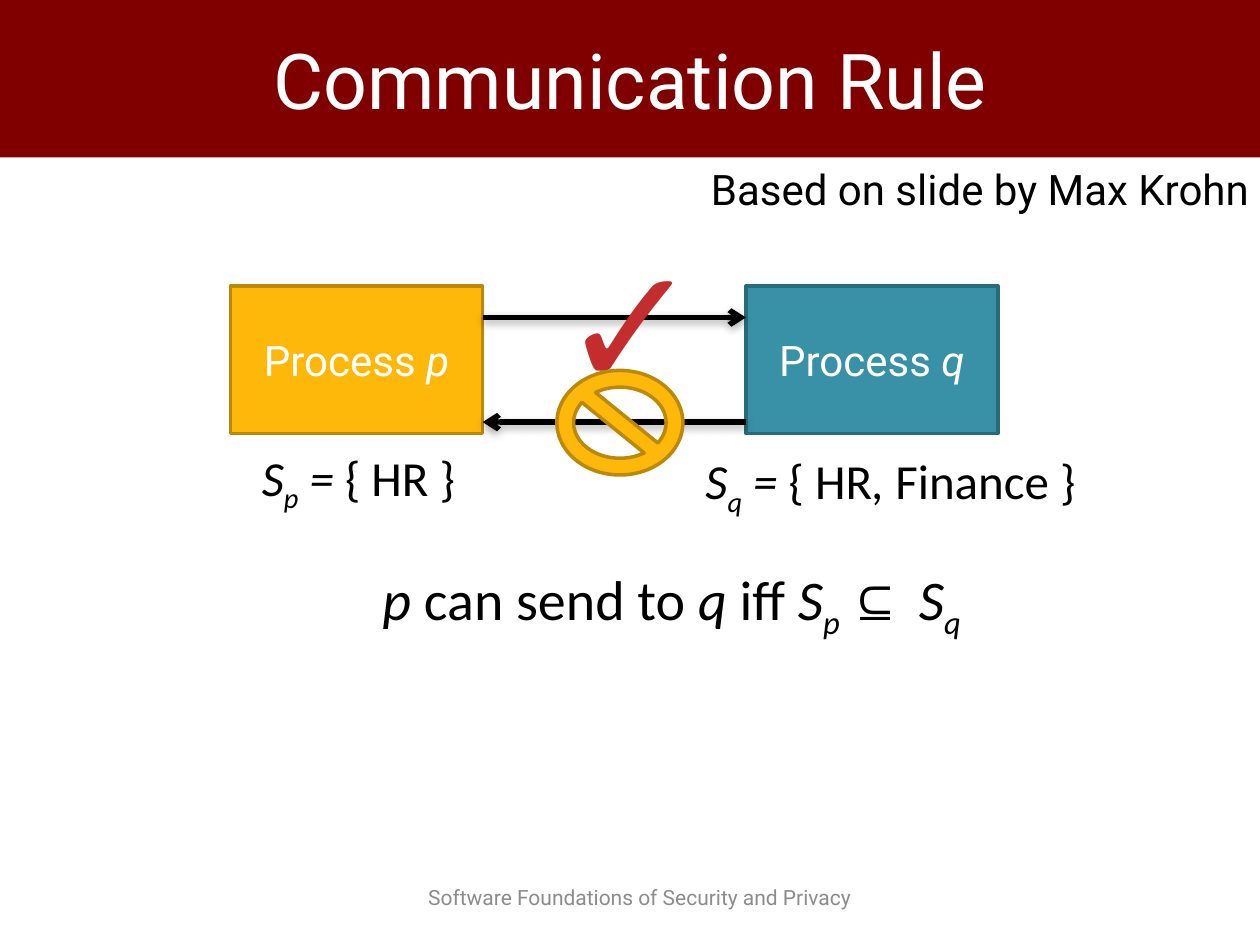
from lxml import etree
from pptx import Presentation
from pptx import util as u
from pptx.dml.color import RGBColor
from pptx.enum import shapes, text
from pptx.oxml import parse_xml
from pptx.oxml.ns import nsdecls, qn

WHITE = RGBColor(0xFF, 0xFF, 0xFF)
BLACK = RGBColor(0, 0, 0)
GRAY = RGBColor(0x8C, 0x8C, 0x8C)
MAROON = RGBColor(0x80, 0, 0)
RED = RGBColor(0xC3, 0x2D, 0x2E)
GOLD = RGBColor(0xFE, 0xB8, 0x0A)
OCHRE = RGBColor(0xBC, 0x88, 0x07)
TEAL = RGBColor(0x38, 0x91, 0xA7)
NAVY = RGBColor(0x29, 0x6B, 0x7C)

ITAL = {"italic": True}
SUB = {"italic": True, "base": "-25000"}
SHADOW = (
    f'<a:effectLst {nsdecls("a")}><a:outerShdw blurRad="63500" dist="23000" '
    'dir="5400000" rotWithShape="0"><a:srgbClr val="000000">'
    '<a:alpha val="35000"/></a:srgbClr></a:outerShdw></a:effectLst>'
)


def write(shape, runs, size, color, name="Roboto", align="LEFT", **frame):
    """Fill a shape with one paragraph of (text, format) runs."""
    body = shape.text_frame
    for key, val in {"word_wrap": True, **frame}.items():
        setattr(body, key, val)
    para = body.paragraphs[0]
    para.alignment = getattr(text.PP_ALIGN, align)
    for words, extra in runs:
        run = para.add_run()
        run.text = words
        look = {"size": u.Pt(size), "name": name, "italic": False, **extra}
        base = look.pop("base", None)
        for key, val in look.items():
            setattr(run.font, key, val)
        run.font.color.rgb = color
        if base:
            run.font._element.set("baseline", base)


def label(slide, box, runs, size, color=BLACK, **style):
    """Place a text box."""
    write(slide.shapes.add_textbox(*map(u.Inches, box)), runs, size, color, **style)


def block(slide, kind, box, fill, edge):
    """Place a filled, outlined shape and return it."""
    shape = slide.shapes.add_shape(kind, *map(u.Inches, box))
    shape.shadow.inherit = False
    shape.fill.solid()
    shape.fill.fore_color.rgb = fill
    shape.line.color.rgb = edge
    shape.line.width = u.Pt(2)
    return shape


def arrow(slide, start, end, y):
    """Draw a level arrow with a soft shadow."""
    line = slide.shapes.add_connector(
        shapes.MSO_CONNECTOR.STRAIGHT, *map(u.Inches, (start, y, end, y)))
    line.line.color.rgb = BLACK
    line.line.width = u.Pt(3)
    etree.SubElement(line.line._get_or_add_ln(), qn("a:tailEnd"), type="arrow")
    line._element.spPr.append(parse_xml(SHADOW))


def banner(slide, box):
    """Format the title placeholder as a banner."""
    title = slide.shapes.title
    for key, val in zip(("left", "top", "width", "height"), box):
        setattr(title, key, u.Inches(val))
    title.fill.solid()
    title.fill.fore_color.rgb = MAROON
    write(title, [("Communication Rule", {})], 44, WHITE, align="CENTER",
          vertical_anchor=text.MSO_ANCHOR.MIDDLE)


def diagram(slide, box):
    """Draw two processes, their labels and the arrows between them."""
    x, y, wide, high = box
    side = 2
    left, right = x + side, x + wide - side
    for start, name, fill, edge in ((right, "q", TEAL, NAVY), (x, "p", GOLD, OCHRE)):
        shape = block(slide, shapes.MSO_SHAPE.RECTANGLE,
                      (start, y, side, high), fill, edge)
        write(shape, [("Process ", {}), (name, ITAL)], 24, WHITE, align="CENTER",
              vertical_anchor=text.MSO_ANCHOR.MIDDLE)
    for start, drop, width, name, rest in (
        (right - 0.42, 1.26, 3.18, "q", [("{ HR", {}), (", ", ITAL), ("Finance }", {})]),
        (x + 0.15, 1.23, 1.77, "p", [("{ HR }", {})]),
    ):
        label(slide, (start, y + drop, width, 0.57),
              [("S", ITAL), (name, SUB), (" = ", ITAL), *rest],
              28, name="Calibri", word_wrap=False)
    arrow(slide, left, right, y + 0.25)
    label(slide, (left + 0.52, y - 0.58, 1.23, 1.72), [("✓", {})], 96, RED,
          name="Arial", word_wrap=False)
    arrow(slide, right, left, y + 1.08)
    ban = block(slide, shapes.MSO_SHAPE.NO_SYMBOL,
                (left + 0.59, y + 0.67, 1, 0.83), GOLD, OCHRE)
    ban.adjustments[0] = 0.16


def rule(slide, box):
    """State the rule for sending."""
    runs = [("p", ITAL), (" can send to ", {}), ("q ", ITAL), ("iff ", {}),
            ("S", ITAL), ("p ", SUB), ("⊆ ", {"name": "Arial"}),
            ("S", ITAL), ("q", SUB)]
    label(slide, box, runs, 32, name="Calibri", align="CENTER",
          margin_left=u.Inches(0.6))


def main():
    """Build and save the slide."""
    deck = Presentation()
    deck.slide_width, deck.slide_height = u.Inches(10), u.Inches(7.5)
    slide = deck.slides.add_slide(deck.slide_layouts[5])
    label(slide, (3.3, 6.92, 3.6, 0.4),
          [("Software Foundations of Security and Privacy", {})], 12, GRAY,
          vertical_anchor=text.MSO_ANCHOR.MIDDLE)
    banner(slide, (0, 0, 10.01, 1.25))
    diagram(slide, (1.83, 2.27, 6.09, 1.17))
    rule(slide, (0.58, 4.43, 9, 2.16))
    label(slide, (4.69, 1.25, 5.32, 0.5),
          [("Based on slide by Max Krohn", {})], 24, align="RIGHT")
    deck.save("out.pptx")


if __name__ == "__main__":
    main()
